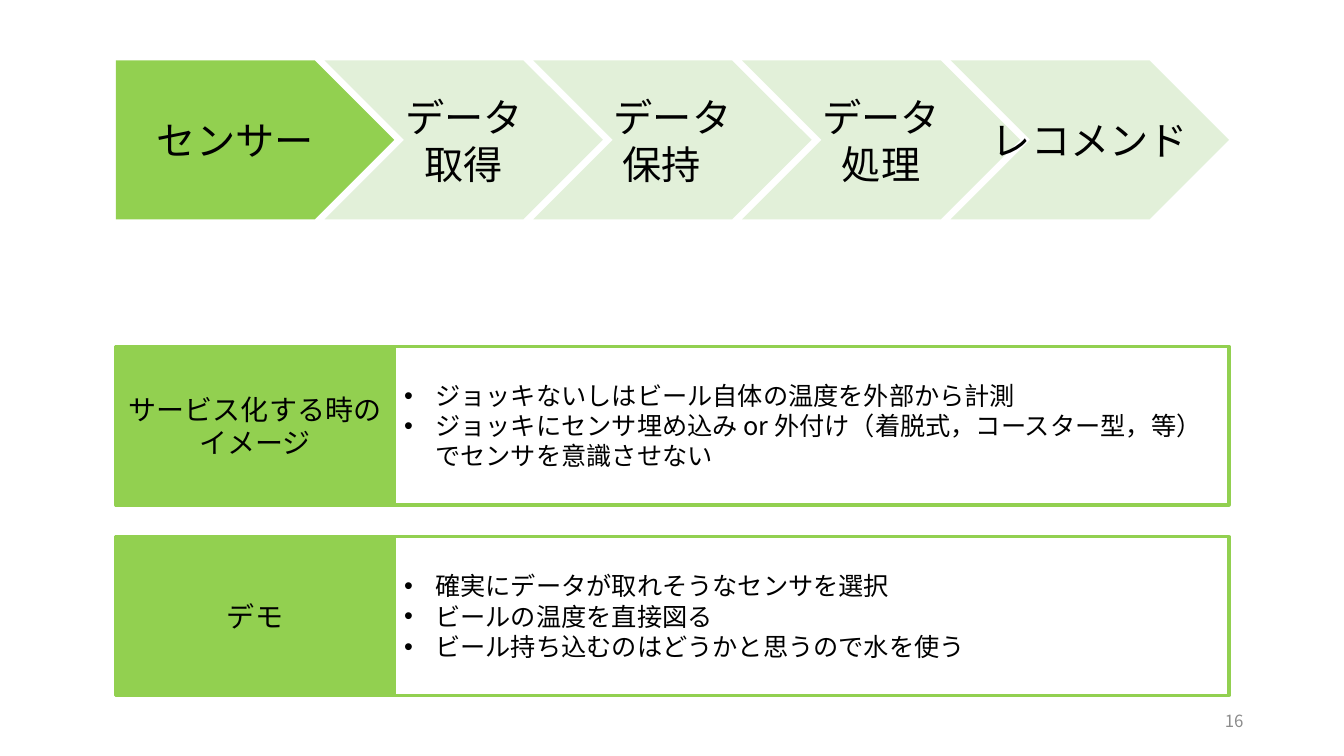
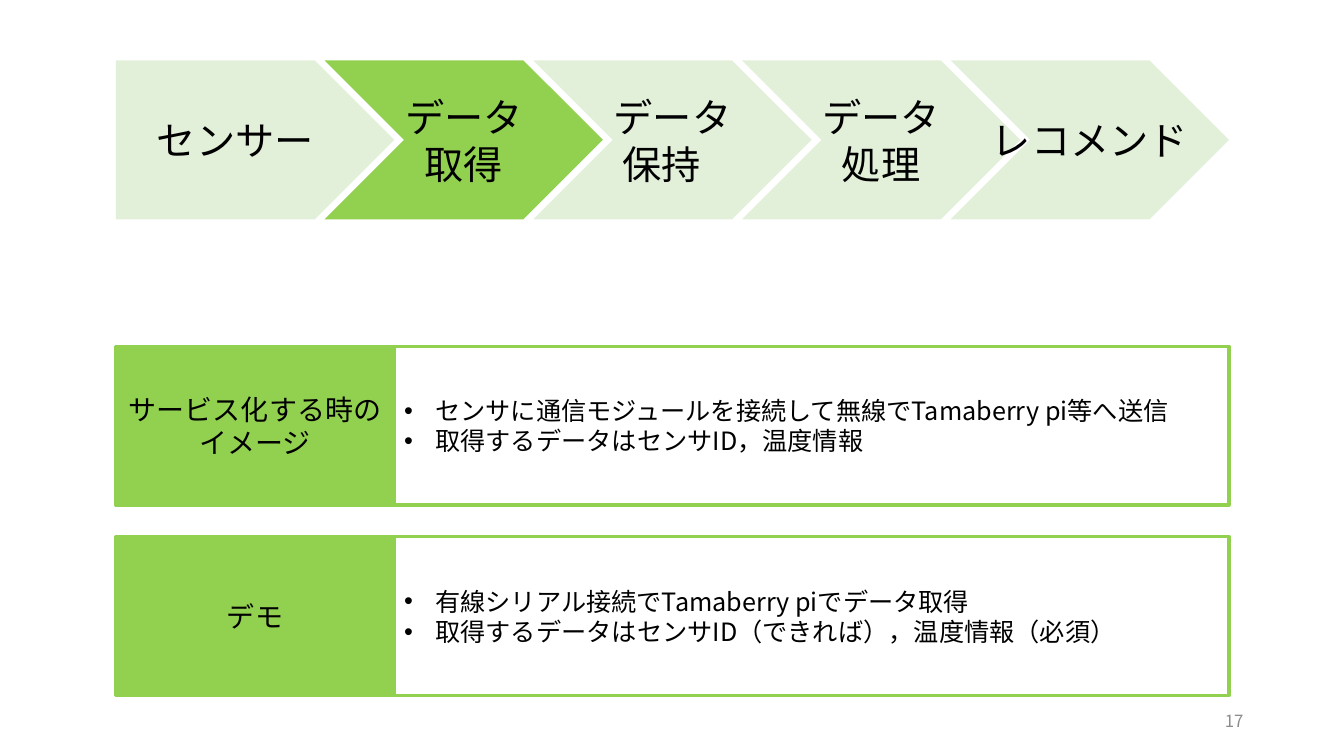
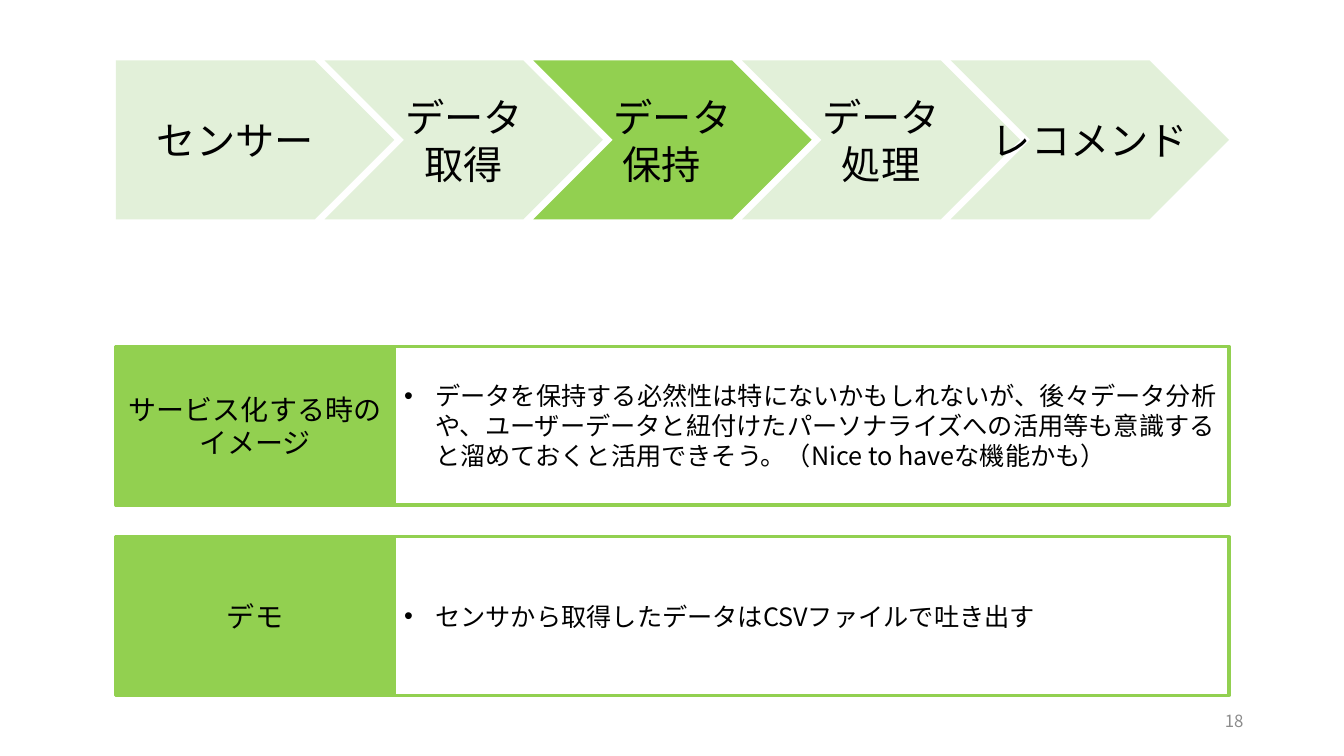
from lxml.etree import SubElement
from pptx import Presentation
from pptx.dml.color import RGBColor
from pptx.enum.shapes import MSO_SHAPE as SHAPE
from pptx.enum.text import MSO_ANCHOR as ANCHOR, PP_ALIGN as ALIGN
from pptx.oxml.ns import qn
from pptx.util import Inches, Pt

# Shared style
FONT = "Noto Sans CJK JP"
GREEN, PALE, BLACK, GREY = "92D050", "E2F0D9", "000000", "8C8C8C"

# Grid: a step spans 4 columns and 5 rows
LEFT, TOP, COL, ROW = 1.15, 0.6, 0.69, 0.315
STEP_COLS, STEP_PITCH, BAND_ROWS = 4, 3, 5
BODY_COLS = 12

# Text shared by every slide
STEPS = [["センサー"], ["データ", "取得"], ["データ", "保持\t"],
         ["データ", "処理"], ["レコメンド"]]
LABELS = [(9, ["サービス化する時の", "イメージ"]), (15, ["デモ"])]


def rgb(value):
    return RGBColor.from_string(value)


class Deck:
    def __init__(self):
        self.prs = Presentation()
        self.prs.slide_width = Inches(13.33)
        self.prs.slide_height = Inches(7.5)

    def new_slide(self):
        self.s = self.prs.slides.add_slide(self.prs.slide_layouts[6])

    def cell(self, col, row, cols, rows):
        """Turn grid units into left, top, width and height."""
        return (Inches(LEFT + col * COL), Inches(TOP + row * ROW),
                Inches(cols * COL), Inches(rows * ROW))

    def set_text(self, sp, lines, size, color=BLACK, align=ALIGN.CENTER,
                 wrap=True, bullets=False):
        tf = sp.text_frame
        for name, value in {"word_wrap": wrap,
                            "vertical_anchor": ANCHOR.MIDDLE}.items():
            setattr(tf, name, value)
        for i, line in enumerate(lines):
            p = tf.paragraphs[0] if i == 0 else tf.add_paragraph()
            p.alignment = align
            r = p.add_run()
            r.text = line
            for name, value in {"name": FONT, "size": Pt(size)}.items():
                setattr(r.font, name, value)
            r.font.color.rgb = rgb(color)
            SubElement(r._r.get_or_add_rPr(), qn("a:ea"), typeface=FONT)
            if bullets:
                self.bullet(p)

    def bullet(self, p, indent=0.31):
        pPr = p._p.get_or_add_pPr()
        pPr.set("marL", str(Inches(indent)))
        pPr.set("indent", str(Inches(-indent)))
        SubElement(pPr, qn("a:buFont"), typeface="Arial")
        SubElement(pPr, qn("a:buChar"), char="•")

    def shape(self, kind, cell, lines, size, fill=None, line=None, **text):
        sp = self.s.shapes.add_shape(kind, *self.cell(*cell))
        sp.shadow.inherit = False
        if fill:
            sp.fill.solid()
            sp.fill.fore_color.rgb = rgb(fill)
        else:
            sp.fill.background()
        if line:
            sp.line.color.rgb = rgb(line)
            sp.line.width = Pt(2.25)
        else:
            sp.line.fill.background()
        self.set_text(sp, lines, size, **text)

    def process(self, active):
        for i, lines in enumerate(STEPS):
            first = i == 0
            self.shape(SHAPE.PENTAGON if first else SHAPE.CHEVRON,
                       (i * STEP_PITCH, 0, STEP_COLS, BAND_ROWS), lines, 28,
                       fill=GREEN if i == active else PALE, wrap=first)

    def panel(self, row, label, points):
        self.shape(SHAPE.RECTANGLE, (0, row, STEP_COLS, BAND_ROWS),
                   label, 20, fill=GREEN, line=GREEN)
        self.shape(SHAPE.RECTANGLE, (STEP_COLS, row, BODY_COLS, BAND_ROWS),
                   points, 18, line=GREEN, align=ALIGN.LEFT, bullets=True)

    def page_number(self, number):
        box = self.s.shapes.add_textbox(*self.cell(12, 20.15, 4.35, 1.27))
        self.set_text(box, [str(number)], 12, color=GREY, align=ALIGN.RIGHT)


# Bullet points of each slide: service image, then demo
CONTENT = [
    (["ジョッキないしはビール自体の温度を外部から計測",
      "ジョッキにセンサ埋め込み or 外付け（着脱式，コースター型，等）"
      "でセンサを意識させない"],
     ["確実にデータが取れそうなセンサを選択",
      "ビールの温度を直接図る",
      "ビール持ち込むのはどうかと思うので水を使う"]),
    (["センサに通信モジュールを接続して無線でTamaberry pi等へ送信",
      "取得するデータはセンサID，温度情報"],
     ["有線シリアル接続でTamaberry piでデータ取得",
      "取得するデータはセンサID（できれば），温度情報（必須）"]),
    (["データを保持する必然性は特にないかもしれないが、後々データ分析や、"
      "ユーザーデータと紐付けたパーソナライズへの活用等も意識すると"
      "溜めておくと活用できそう。（Nice to haveな機能かも）"],
     ["センサから取得したデータはCSVファイルで吐き出す"]),
]

# Build the slides
deck = Deck()
for active, panels in enumerate(CONTENT):
    deck.new_slide()
    deck.page_number(16 + active)
    deck.process(active)
    for (row, label), points in zip(LABELS, panels):
        deck.panel(row, label, points)
deck.prs.save("out.pptx")
